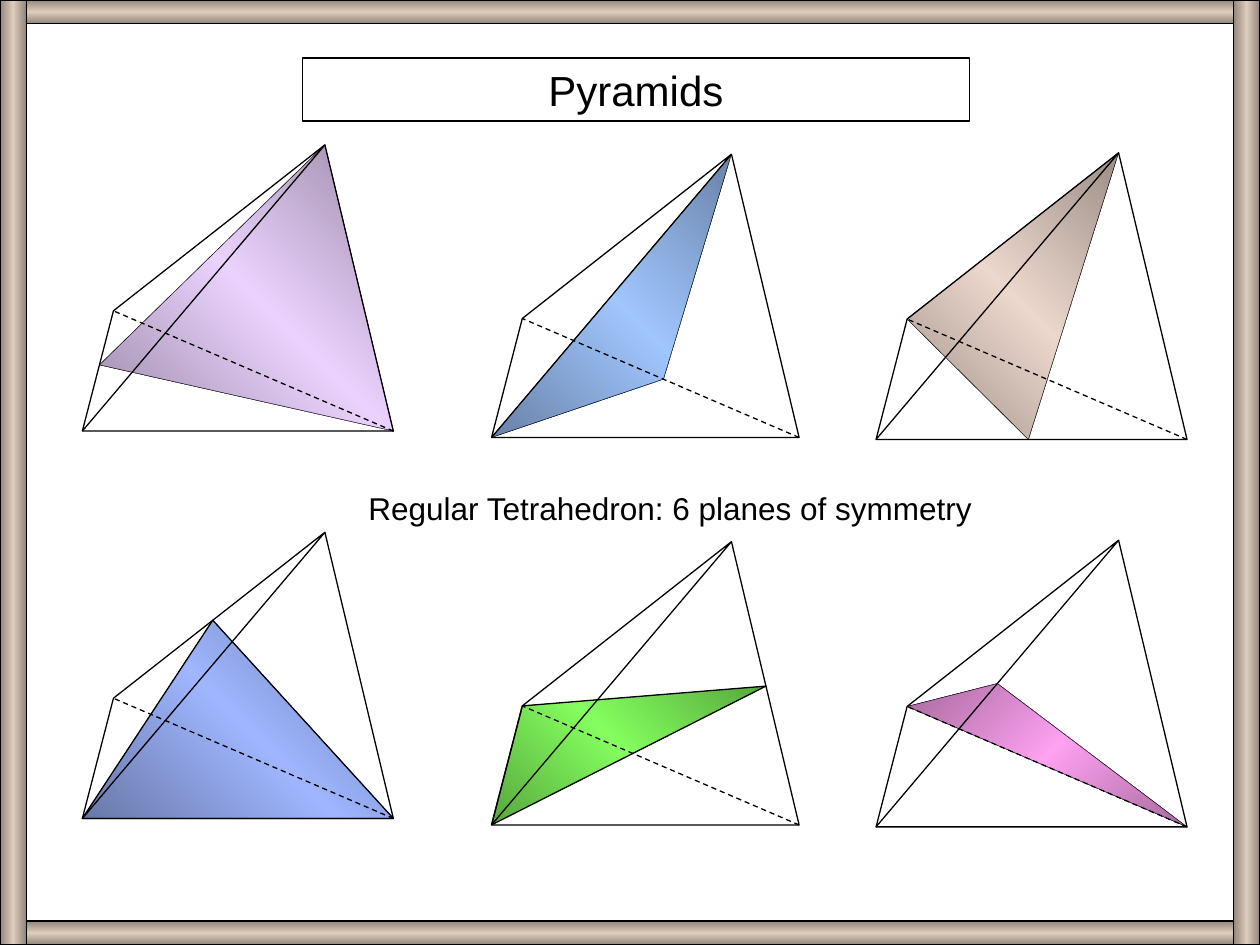
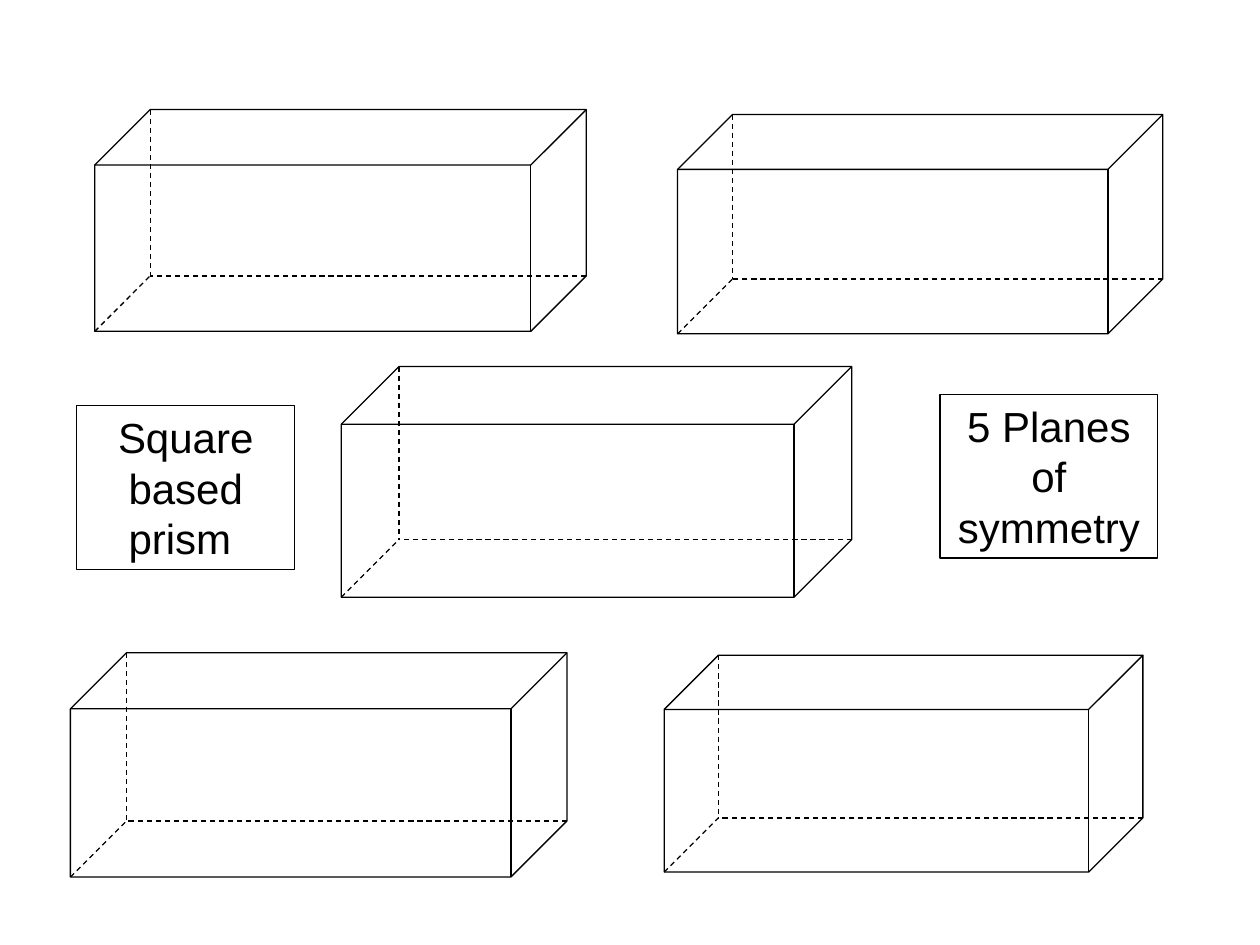
from copy import deepcopy
from dataclasses import dataclass

from lxml import etree
from pptx import Presentation
from pptx.dml.color import RGBColor
from pptx.enum.dml import MSO_LINE
from pptx.enum.shapes import MSO_CONNECTOR, MSO_SHAPE
from pptx.enum.text import MSO_ANCHOR, PP_ALIGN
from pptx.oxml.ns import qn
from pptx.util import Cm, Pt

RECT, CUBE = MSO_SHAPE.RECTANGLE, MSO_SHAPE.CUBE
STRAIGHT = MSO_CONNECTOR.STRAIGHT
DASH = MSO_LINE.DASH
CENTER, TOP = PP_ALIGN.CENTER, MSO_ANCHOR.TOP


@dataclass(frozen=True)
class Theme:
    font: str = "Arial"
    ink: str = "000000"
    heading: float = 24
    caption: float = 18
    edge: float = 0.75
    hairline: float = 0.25
    frame: tuple = ("92867C", "DECCBC")
    lilac: tuple = ("9B8AA7", "EBD2FE")
    sky: tuple = ("6982A7", "A0C6FE")
    sand: tuple = ("9B8D86", "ECD7CC")
    blue: tuple = ("6878A8", "9FB6FF")
    green: tuple = ("57A73E", "84FE5E")
    pink: tuple = ("A76A9E", "FDA1F0")


THEME = Theme()
WIDTH, HEIGHT = 25.4, 19.05
CORNERS = {"A": (0, 1), "B": (1, 1), "C": (0.78, 0), "D": (0.1, 0.58)}
CUBE_DEPTH = 0.25


def outline(s, width=THEME.edge):
    s.line.color.rgb = RGBColor.from_string(THEME.ink)
    s.line.width = Pt(width)


def fill_gradient(s, colors, angle):
    dark, light = colors
    s.fill.gradient()
    stop_list = s.element.spPr.find(qn("a:gradFill")).find(qn("a:gsLst"))
    stop_list.append(deepcopy(stop_list[-1]))
    for stop, position, color in zip(s.fill.gradient_stops, (0, 0.5, 1), (dark, light, dark)):
        stop.position = position
        stop.color.rgb = RGBColor.from_string(color)
    s.fill.gradient_angle = angle


def finish(s, colors=None, angle=0, width=THEME.edge):
    s.shadow.inherit = False
    outline(s, width)
    if colors:
        fill_gradient(s, colors, angle)
    else:
        s.fill.background()
    return s


def add_preset(slide, kind, box, **look):
    return finish(slide.shapes.add_shape(kind, *map(Cm, box)), **look)


def add_path(slide, points, close=True, **look):
    start, *rest = [(Cm(x), Cm(y)) for x, y in points]
    builder = slide.shapes.build_freeform(*start)
    builder.add_line_segments(rest, close=close)
    return finish(builder.convert_to_shape(), **look)


def add_hidden_edge(slide, start, end):
    s = slide.shapes.add_connector(STRAIGHT, *map(Cm, (*start, *end)))
    outline(s)
    s.line.dash_style = DASH
    etree.SubElement(s.element.spPr, qn("a:effectLst"))


def add_text(slide, text, box, size=THEME.heading, bordered=True):
    if bordered:
        sp = add_preset(slide, RECT, box)
    else:
        sp = slide.shapes.add_textbox(*map(Cm, box))
    tf = sp.text_frame
    tf.word_wrap = True
    tf.vertical_anchor = TOP
    p = tf.paragraphs[0]
    p.alignment = CENTER
    r = p.add_run()
    r.text = text
    r.font.name = THEME.font
    r.font.size = Pt(size)
    r.font.color.rgb = RGBColor.from_string(THEME.ink)


def add_frame(slide):
    bar, post = 0.48, 0.53
    for top in (0, HEIGHT - bar):
        add_preset(slide, RECT, (0, top, WIDTH, bar), colors=THEME.frame, angle=270)
    for left in (0, WIDTH - post):
        add_preset(slide, RECT, (left, 0, post, HEIGHT), colors=THEME.frame, angle=180)


def add_tetrahedron(slide, box, kept_edge, cut_edge, share, **look):
    left, top, width, height = box
    at = {name: (left + x * width, top + y * height) for name, (x, y) in CORNERS.items()}
    start, end = (at[name] for name in cut_edge)
    cut = [a + share * (b - a) for a, b in zip(start, end)]
    add_path(slide, [at[name] for name in kept_edge] + [cut], **look)
    add_path(slide, [at[name] for name in "ACD"])
    add_path(slide, [at[name] for name in "ABC"], close=False)
    add_hidden_edge(slide, at["B"], at["D"])


def add_prism(slide, box):
    left, top, width, height = box
    depth = CUBE_DEPTH * height
    s = add_preset(slide, CUBE, box)
    s.adjustments[0] = CUBE_DEPTH
    back_corner = (left + depth, top + height - depth)
    for end in ((left + depth, top), (left + width, back_corner[1]), (left, top + height)):
        add_hidden_edge(slide, end, back_corner)


def build_pyramids(slide):
    columns = [(1.66, 2.92, 6.27, 5.77), (9.91, 3.11, 6.2, 5.71), (17.66, 3.08, 6.27, 5.78)]
    row_step = 7.81
    planes = [
        ("BC", "AD", 0.55, THEME.lilac, 225, THEME.hairline),
        ("AC", "BD", 0.49, THEME.sky, 225, THEME.hairline),
        ("CD", "AB", 0.49, THEME.sand, 225, THEME.hairline),
        ("AB", "DC", 0.47, THEME.blue, 225, THEME.edge),
        ("AD", "BC", 0.49, THEME.green, 225, THEME.edge),
        ("BD", "AC", 0.5, THEME.pink, 135, THEME.hairline),
    ]
    add_text(slide, "Pyramids", (6.1, 1.17, 13.44, 1.27))
    add_text(slide, "Regular Tetrahedron: 6 planes of symmetry", (7.11, 9.73, 12.8, 1.02),
             size=THEME.caption, bordered=False)
    add_frame(slide)
    for i, (kept_edge, cut_edge, share, colors, angle, width) in enumerate(planes):
        row, column = divmod(i, len(columns))
        left, top, *size = columns[column]
        add_tetrahedron(slide, (left, top + row * row_step, *size), kept_edge, cut_edge, share,
                        colors=colors, angle=angle, width=width)


def build_prisms(slide):
    prisms = [
        (1.91, 2.21, 9.91, 4.47),
        (13.66, 2.31, 9.78, 4.42),
        (6.88, 7.39, 10.29, 4.65),
        (1.42, 13.16, 10.01, 4.52),
        (13.39, 13.21, 9.65, 4.37),
    ]
    for box in prisms:
        add_prism(slide, box)
    label_size = (4.39, 3.3)
    add_text(slide, "5 Planes of symmetry ", (18.95, 7.95, *label_size))
    add_text(slide, "Square based prism ", (1.55, 8.18, *label_size))


def main():
    prs = Presentation()
    prs.slide_width, prs.slide_height = Cm(WIDTH), Cm(HEIGHT)
    blank = prs.slide_layouts[6]
    for build in (build_pyramids, build_prisms):
        build(prs.slides.add_slide(blank))
    prs.save("out.pptx")


if __name__ == "__main__":
    main()
